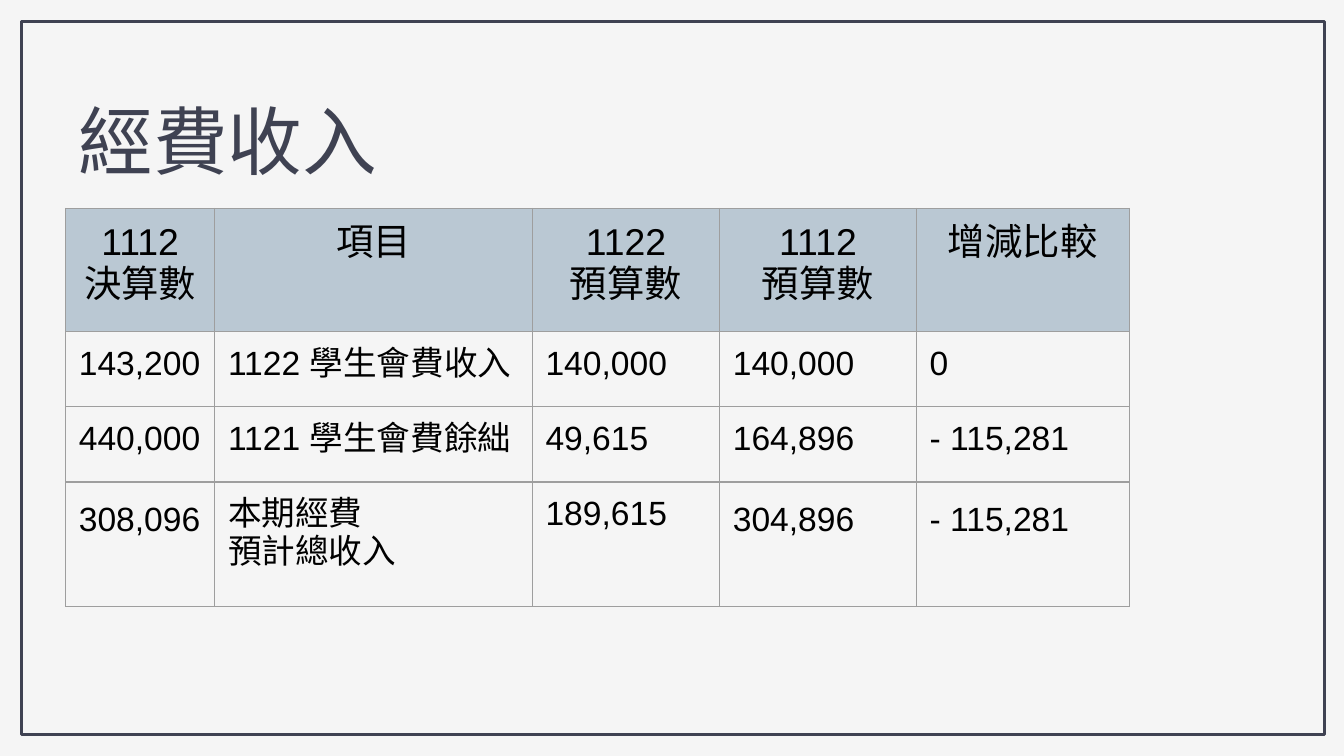
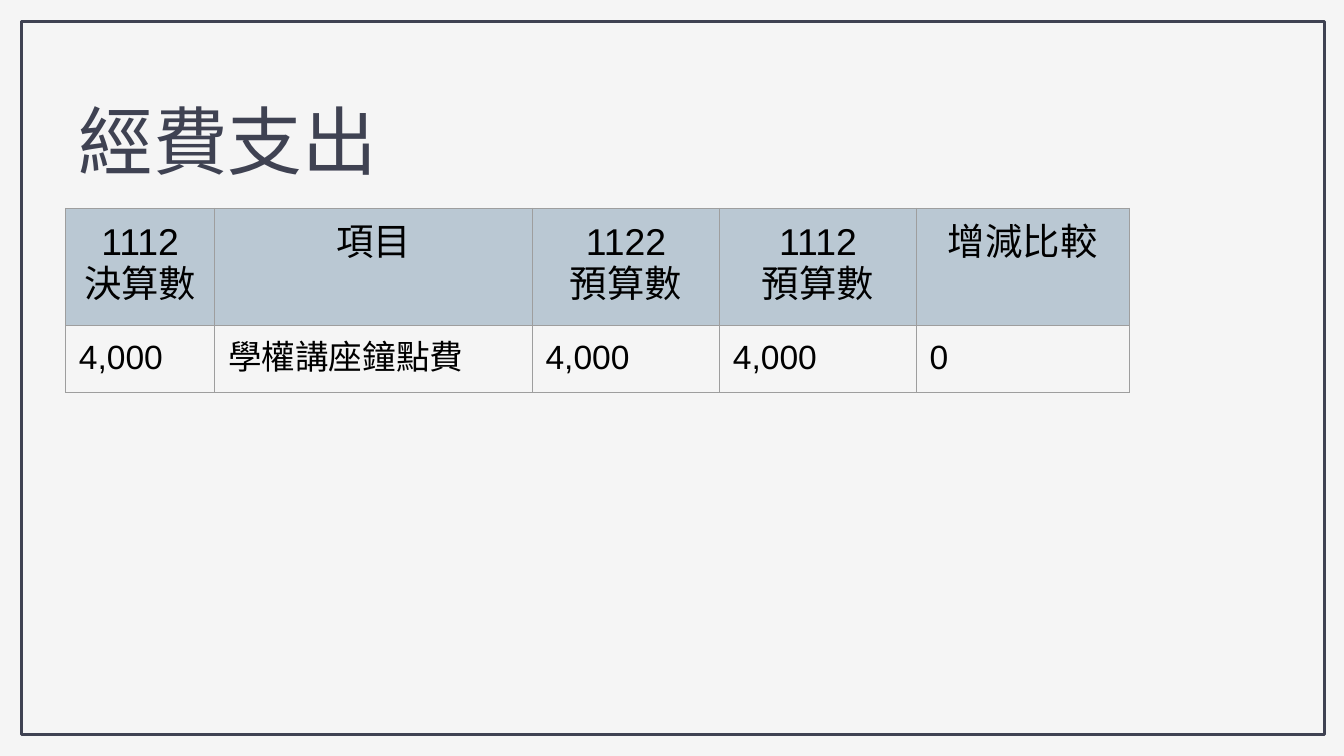
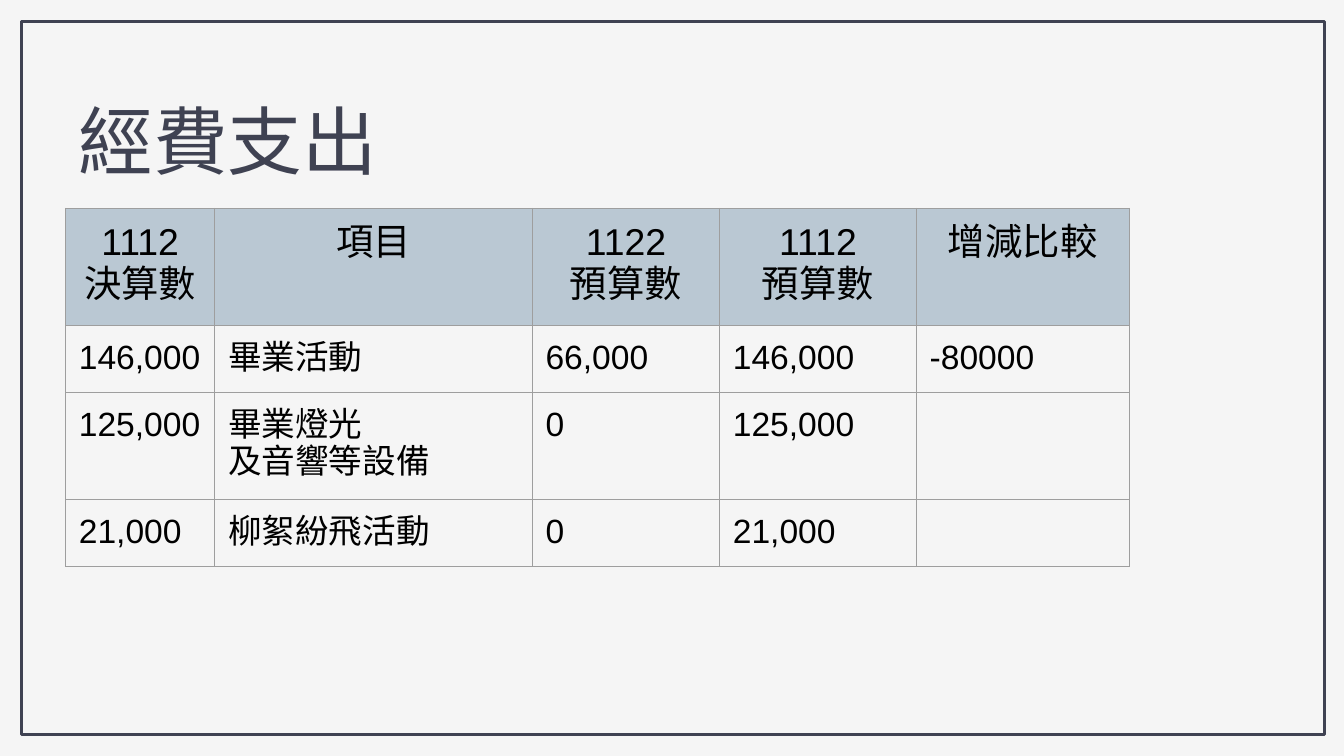
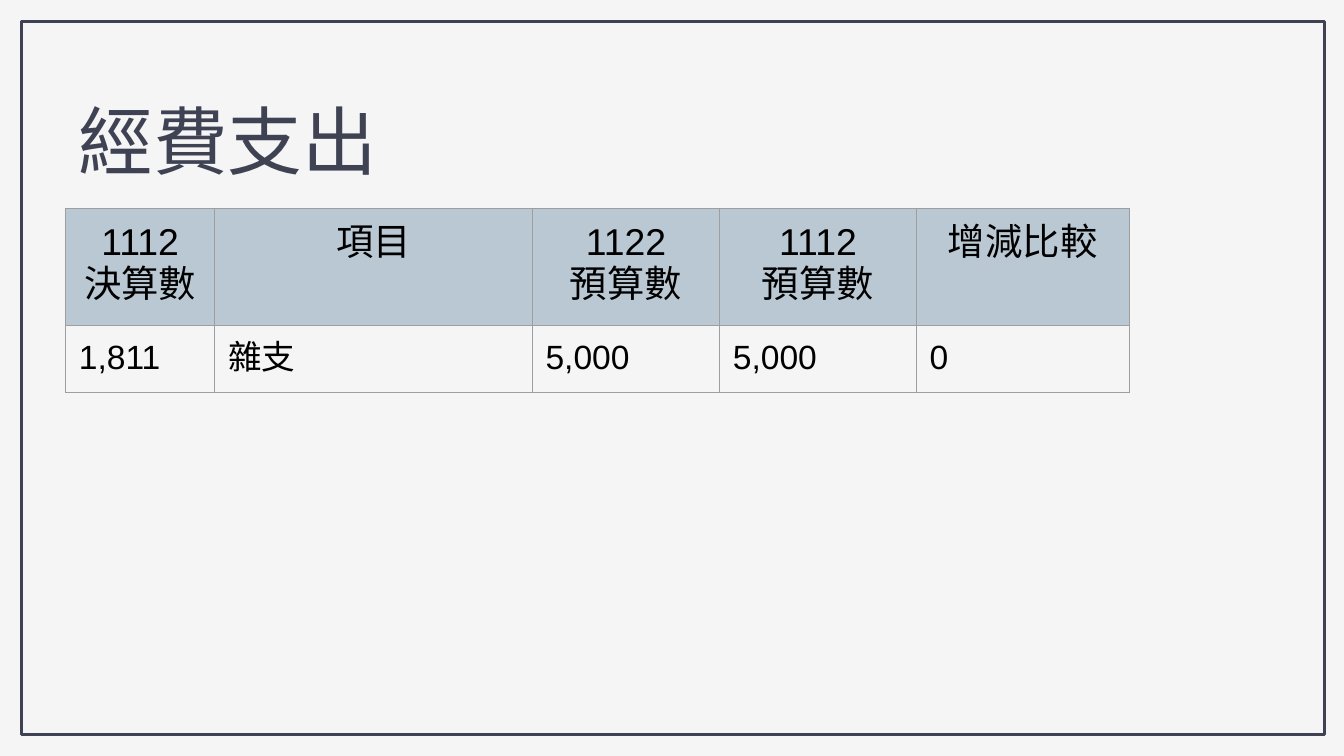
from lxml import etree
from pptx import Presentation
from pptx.dml.color import RGBColor
from pptx.enum.shapes import MSO_SHAPE
from pptx.enum.text import MSO_AUTO_SIZE, PP_ALIGN
from pptx.oxml.ns import qn
from pptx.util import Cm, Pt

RECT = MSO_SHAPE.RECTANGLE
GROW = MSO_AUTO_SIZE.SHAPE_TO_FIT_TEXT
CENTER, LEFT = PP_ALIGN.CENTER, PP_ALIGN.LEFT

FONT = "Arial"
PAPER, INK, BLACK, HEAD, GRID = "F5F5F5", "3F4252", "000000", "BAC8D3", "9E9E9E"
MARGIN = 1.24
INSET = 0.25
COLS = [2.82, 6.0, 3.54, 3.72, 4.02]
HEADER = ["1112\n決算數", "項目", "1122\n預算數", "1112\n預算數", "增減比較"]

BUDGETS = [
    ("經費收入", [2.33, 1.42, 1.42, 2.35], [
        ["143,200", "1122 學生會費收入", "140,000", "140,000", "0"],
        ["440,000", "1121 學生會費餘絀", "49,615", "164,896", "- 115,281"],
        ["308,096", "本期經費\n預計總收入", "189,615", "304,896", "- 115,281"],
    ], {(3, 0), (3, 3), (3, 4)}),
    ("經費支出", [2.21, 1.27], [
        ["4,000", "學權講座鐘點費", "4,000", "4,000", "0"],
    ], set()),
    ("經費支出", [2.21, 1.27, 2.02, 1.27], [
        ["146,000", "畢業活動", "66,000", "146,000", "-80000"],
        ["125,000", "畢業燈光\n及音響等設備", "0", "125,000", ""],
        ["21,000", "柳絮紛飛活動", "0", "21,000", ""],
    ], set()),
    ("經費支出", [2.21, 1.27], [
        ["1,811", "雜支", "5,000", "5,000", "0"],
    ], set()),
]


def rgb(value):
    """Return the colour for a hex string."""
    return RGBColor.from_string(value)


class Deck:
    """Hold the shared style and the current slide."""

    def __init__(self):
        """Start a presentation with the shared background."""
        self.prs = Presentation()
        self.prs.slide_width, self.prs.slide_height = Cm(25.4), Cm(14.29)
        fill = self.prs.slide_master.background.fill
        fill.solid()
        fill.fore_color.rgb = rgb(PAPER)
        self.s = None

    def slide(self):
        """Add a blank slide with its frame."""
        self.s = self.prs.slides.add_slide(self.prs.slide_layouts[6])
        sp = self.s.shapes.add_shape(RECT, Cm(0.4), Cm(0.4), Cm(24.64), Cm(13.48))
        sp.shadow.inherit = False
        sp.fill.background()
        sp.line.color.rgb = rgb(INK)
        sp.line.width = Pt(1.5)

    def text(self, tf, content, size, color, align=LEFT, spacing=None):
        """Set each line of the content as a paragraph with one run."""
        for i, line in enumerate(content.split("\n")):
            p = tf.add_paragraph() if i else tf.paragraphs[0]
            p.alignment = align
            if spacing:
                p.line_spacing = spacing
            if line:
                r = p.add_run()
                r.text = line
                r.font.size = Pt(size)
                r.font.color.rgb = rgb(color)
                r.font.name = FONT
                ea = etree.SubElement(r.font._element, qn("a:ea"))
                ea.set("typeface", FONT)

    def inset(self, box):
        """Give a text frame or cell equal margins."""
        box.margin_left = box.margin_right = Cm(INSET)
        box.margin_top = box.margin_bottom = Cm(INSET)

    def title(self, content):
        """Add the slide title."""
        sp = self.s.shapes.add_textbox(Cm(MARGIN), Cm(1.55), Cm(8.08), Cm(2.24))
        tf = sp.text_frame
        tf.word_wrap = True
        tf.auto_size = GROW
        self.inset(tf)
        self.text(tf, content, 40, INK)

    def borders(self, cell):
        """Draw the grid line on all four sides of a cell."""
        tc_pr = cell._tc.get_or_add_tcPr()
        for side in ("lnL", "lnR", "lnT", "lnB"):
            ln = etree.SubElement(tc_pr, qn(f"a:{side}"), w=str(Pt(0.75)))
            fill = etree.SubElement(ln, qn("a:solidFill"))
            etree.SubElement(fill, qn("a:srgbClr"), val=GRID)

    def table(self, heights, rows, loose):
        """Add a budget table; cells in loose get wider line spacing."""
        frame = self.s.shapes.add_table(len(heights), len(COLS), Cm(MARGIN), Cm(3.94),
                                        Cm(sum(COLS)), Cm(sum(heights)))
        table = frame.table
        table.first_row = table.horz_banding = False
        for column, width in zip(table.columns, COLS):
            column.width = Cm(width)
        for i, (height, contents) in enumerate(zip(heights, [HEADER] + rows)):
            table.rows[i].height = Cm(height)
            for j, content in enumerate(contents):
                cell = table.cell(i, j)
                self.inset(cell)
                self.borders(cell)
                if i == 0:
                    cell.fill.solid()
                    cell.fill.fore_color.rgb = rgb(HEAD)
                    self.text(cell.text_frame, content, 20, BLACK, CENTER)
                else:
                    cell.fill.background()
                    spacing = 1.15 if (i, j) in loose else None
                    self.text(cell.text_frame, content, 18, BLACK, spacing=spacing)


def main():
    """Build the budget slides."""
    deck = Deck()
    for title, heights, rows, loose in BUDGETS:
        deck.slide()
        deck.table(heights, rows, loose)
        deck.title(title)
    deck.prs.save("out.pptx")


if __name__ == "__main__":
    main()
